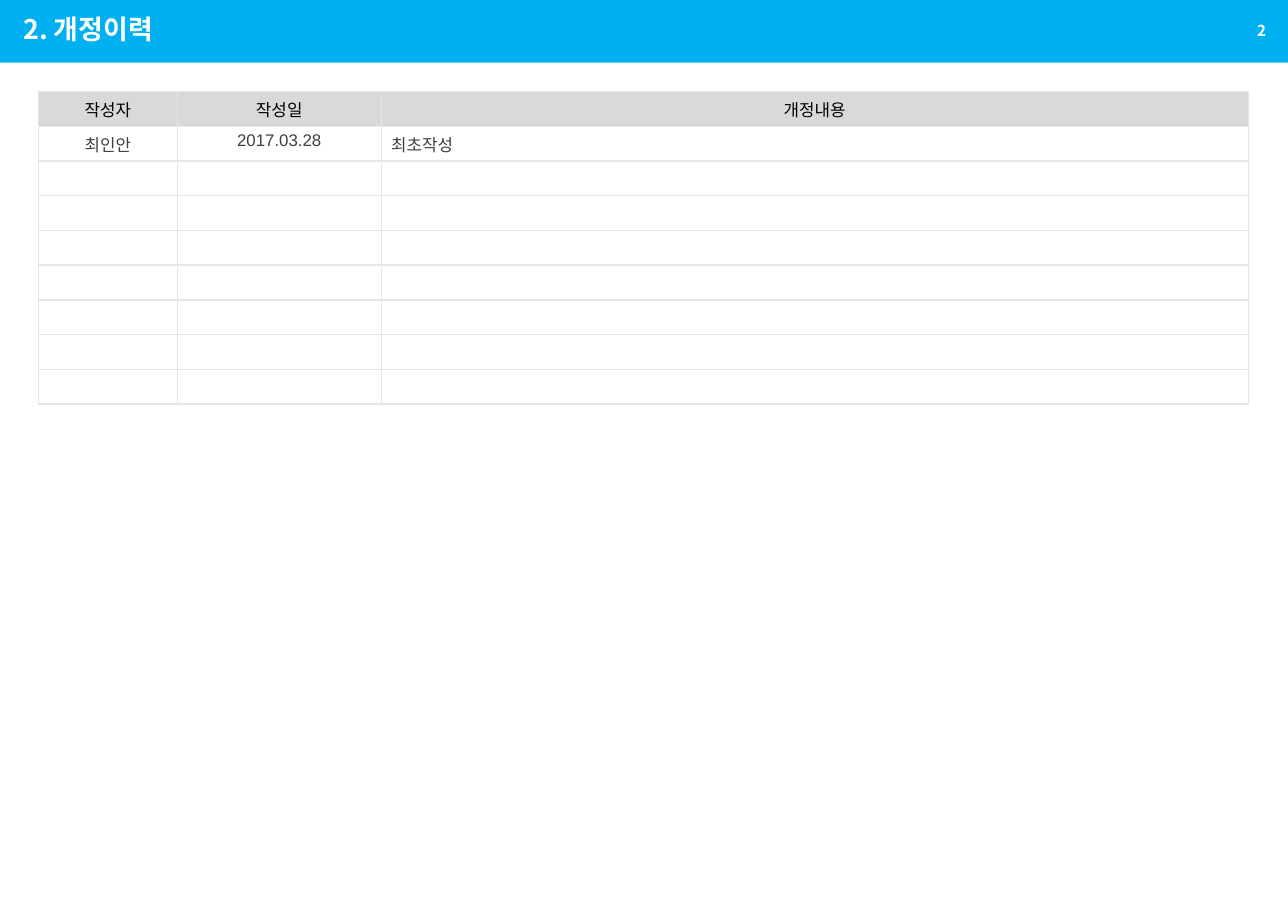
"""Build the revision history slide."""
from dataclasses import dataclass

from lxml.etree import SubElement
from pptx import Presentation
from pptx.dml.color import RGBColor
from pptx.enum.shapes import MSO_SHAPE
from pptx.enum.text import MSO_ANCHOR as Anchor, PP_ALIGN as Align
from pptx.oxml.ns import qn
from pptx.table import _Cell as Cell
from pptx.text.text import TextFrame
from pptx.util import Inches, Pt

KOREAN_FONT = "Noto Sans CJK KR"
BLUE, WHITE, BLACK = "00B0F0", "FFFFFF", "000000"
HEADING_GREY, BORDER_GREY, TEXT_GREY = "D9D9D9", "E7E6E6", "404040"
ROW_COUNT = 9
TABLE_HEIGHT = 2.84
CELL_SIZE = 11


@dataclass(frozen=True)
class Column:
    heading: str
    width: float
    entry: str
    align: Align


COLUMNS = [
    Column("작성자", 1.26, "최인안", Align.CENTER),
    Column("작성일", 1.85, "2017.03.28", Align.CENTER),
    Column("개정내용", 7.87, "최초작성", Align.LEFT),
]


def rgb(value: str) -> RGBColor:
    return RGBColor.from_string(value)


def write(frame: TextFrame, text: str, *, size: float, color: str,
          font: str = KOREAN_FONT, bold: bool = False,
          align: Align = Align.LEFT, line_spacing: float = 1.0) -> None:
    paragraph = frame.paragraphs[0]
    paragraph.alignment = align
    paragraph.line_spacing = line_spacing
    run = paragraph.add_run()
    run.text = text
    run.font.size = Pt(size)
    run.font.name = font
    run.font.bold = bold
    run.font.color.rgb = rgb(color)
    SubElement(run.font._element, qn("a:ea"), typeface=KOREAN_FONT)


def format_cell(cell: Cell, fill: str | None) -> None:
    cell.margin_left = cell.margin_right = Inches(0.09)
    cell.margin_top, cell.margin_bottom = Inches(0.05), Inches(0.04)
    properties = cell._tc.get_or_add_tcPr()
    for side in ("lnL", "lnR", "lnT", "lnB"):
        border = SubElement(properties, qn(f"a:{side}"), w=str(Pt(1)))
        solid = SubElement(border, qn("a:solidFill"))
        SubElement(solid, qn("a:srgbClr"), val=BORDER_GREY)
    if fill:
        cell.fill.solid()
        cell.fill.fore_color.rgb = rgb(fill)
    else:
        cell.fill.background()


def add_history(slide) -> None:
    width = sum(column.width for column in COLUMNS)
    history = slide.shapes.add_table(
        ROW_COUNT, len(COLUMNS), Inches(0.35), Inches(0.83),
        Inches(width), Inches(TABLE_HEIGHT)).table
    history.first_row = history.horz_banding = False
    for row in history.rows:
        row.height = Inches(TABLE_HEIGHT / ROW_COUNT)
    for index, column in enumerate(COLUMNS):
        history.columns[index].width = Inches(column.width)
        for row_index in range(ROW_COUNT):
            cell = history.cell(row_index, index)
            format_cell(cell, HEADING_GREY if row_index == 0 else None)
            if row_index == 0:
                write(cell.text_frame, column.heading, size=CELL_SIZE,
                      color=BLACK, font="Arial", align=Align.CENTER)
            elif row_index == 1:
                write(cell.text_frame, column.entry, size=CELL_SIZE,
                      color=TEXT_GREY, font="Arial", align=column.align)
            else:
                SubElement(cell.text_frame.paragraphs[0]._p,
                           qn("a:endParaRPr"), sz=str(CELL_SIZE * 100))


def main() -> None:
    deck = Presentation()
    deck.slide_width, deck.slide_height = Inches(11.69), Inches(8.27)
    slide = deck.slides.add_slide(deck.slide_layouts[5])

    header = slide.shapes.add_shape(
        MSO_SHAPE.RECTANGLE, 0, 0, deck.slide_width, Inches(0.57))
    header.shadow.inherit = False
    header.fill.solid()
    header.fill.fore_color.rgb = rgb(BLUE)
    header.line.fill.background()
    slide.shapes._spTree.insert(2, header._element)

    title = slide.shapes.title
    title.left, title.top = Inches(0.11), Inches(0)
    title.width, title.height = Inches(9.13), Inches(0.56)
    title.text_frame.vertical_anchor = Anchor.MIDDLE
    write(title.text_frame, "2. 개정이력", size=17.6, color=WHITE,
          bold=True, line_spacing=0.9)

    page_number = slide.shapes.add_textbox(
        Inches(8.97), Inches(0.06), Inches(2.63), Inches(0.44)).text_frame
    page_number.word_wrap = True
    page_number.vertical_anchor = Anchor.MIDDLE
    page_number.margin_left = page_number.margin_right = Inches(0.11)
    page_number.margin_top = page_number.margin_bottom = Inches(0.06)
    write(page_number, "2", size=9.9, color=WHITE, bold=True,
          align=Align.RIGHT)

    add_history(slide)
    deck.save("out.pptx")


if __name__ == "__main__":
    main()
